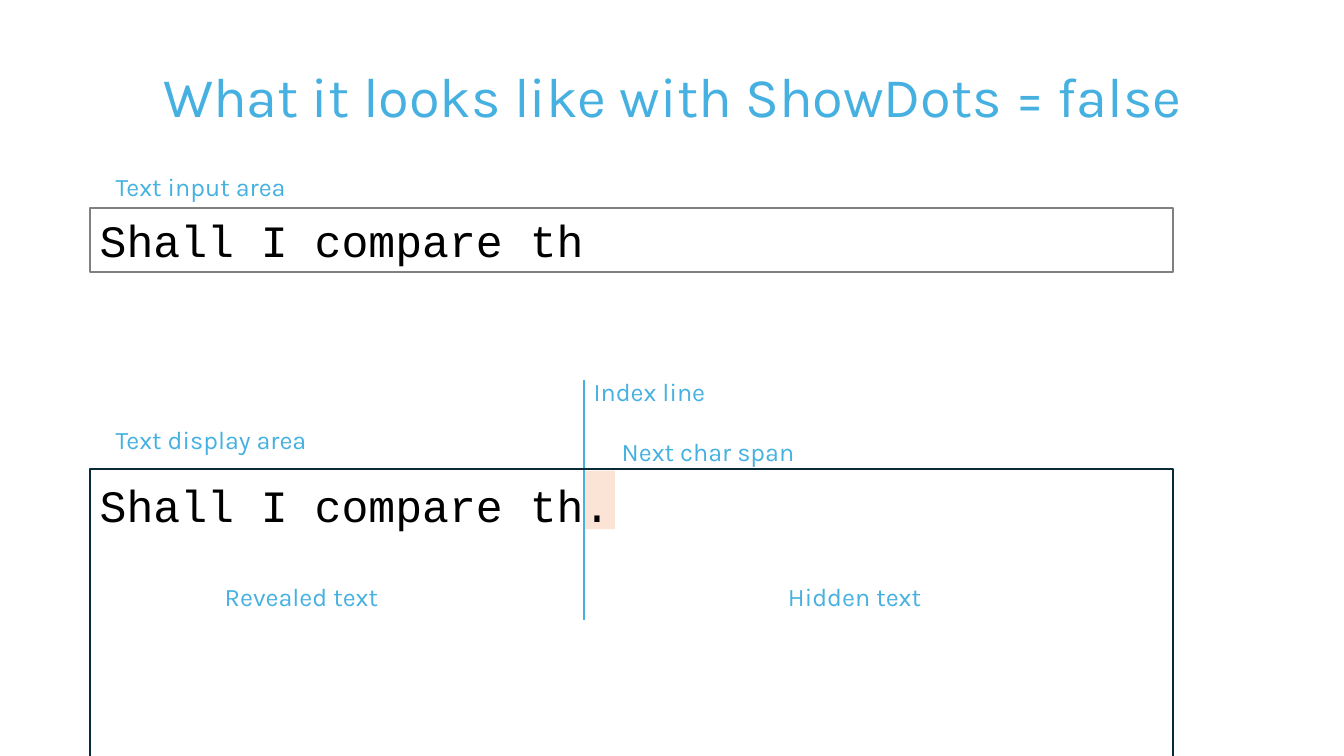
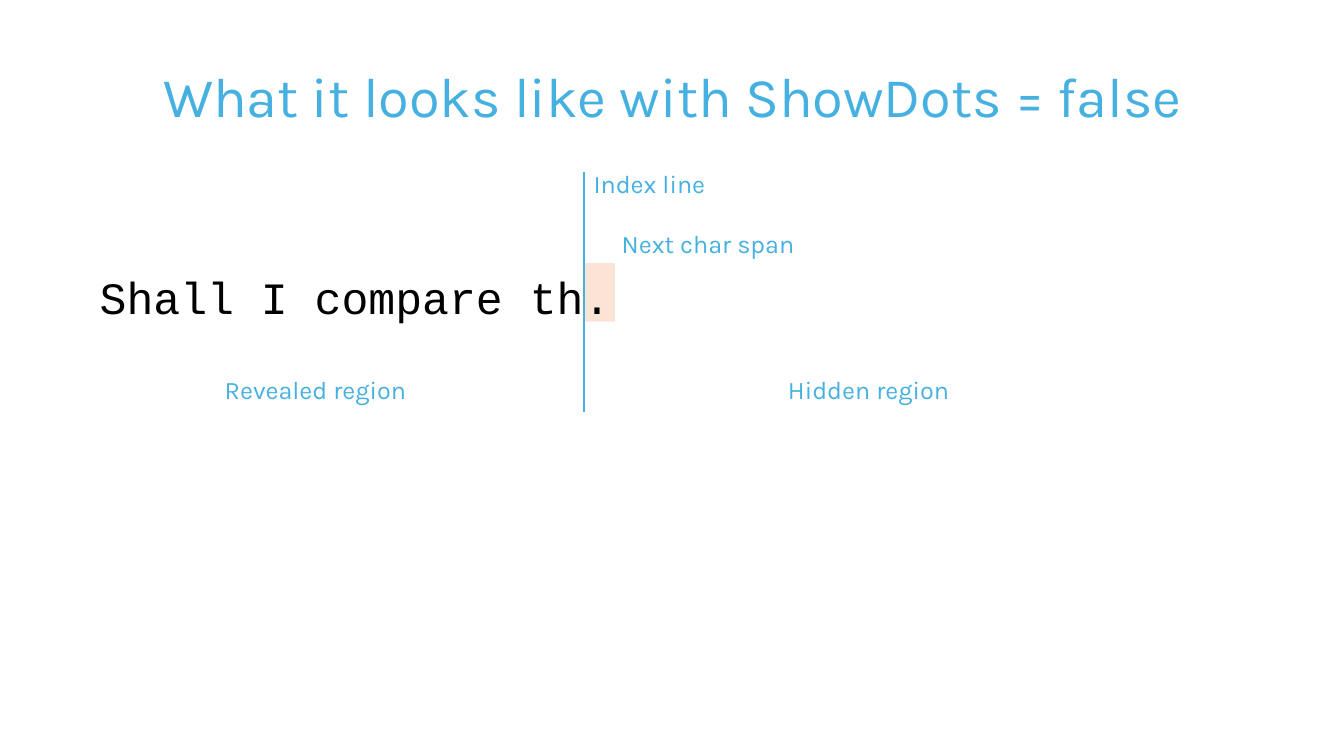
"""Build two slides that explain the text display with ShowDots = false."""
import pptx
import pptx.util
import pptx.dml.color
import pptx.enum.shapes
import pptx.enum.text
import pptx.oxml.ns
import lxml.etree

Pt = pptx.util.Pt
RGB = pptx.dml.color.RGBColor.from_string
RECT = pptx.enum.shapes.MSO_SHAPE.RECTANGLE
LINE = pptx.enum.shapes.MSO_CONNECTOR.STRAIGHT
ALIGN = pptx.enum.text.PP_ALIGN

HUES = {"sky": "46B1E1", "peach": "FBE3D6", "grey": "808080", "navy": "092A39", "ink": "000000"}
FORMS = {
    "title": {"name": "Karla", "size": Pt(40)},
    "label": {"name": "Karla", "size": Pt(18)},
    "code": {"name": "Courier New", "size": Pt(32)},
}
LEFT, WIDE, INDEX = 64.1, 774, 416.9


def write(shape, text, form="label", hue="sky", align=ALIGN.LEFT):
    shape.text_frame.word_wrap = True
    para = shape.text_frame.paragraphs[0]
    para.alignment = align
    run = para.add_run()
    run.text = text
    for key, value in FORMS[form].items():
        setattr(run.font, key, value)
    run.font.color.rgb = RGB(HUES[hue])


def block(slide, box, fill=None, edge=None):
    shape = slide.shapes.add_shape(RECT, *map(Pt, box))
    shape.shadow.inherit = False
    if fill:
        shape.fill.solid()
        shape.fill.fore_color.rgb = RGB(HUES[fill])
    else:
        shape.fill.background()
    if edge:
        shape.line.color.rgb = RGB(HUES[edge])
        shape.line.width = Pt(1.5)
    else:
        shape.line.fill.background()
    return shape


deck = pptx.Presentation()
deck.slide_width, deck.slide_height = Pt(960), Pt(540)

for top, part in ((271.4, "text"), (123.1, "region")):
    slide = deck.slides.add_slide(deck.slide_layouts[6])
    block(slide, (INDEX, top + 64.8, 22.3, 41.8), fill="peach")
    verse = slide.shapes.add_textbox(Pt(LEFT), Pt(top + 66.2), Pt(872.6), Pt(46))
    write(verse, "Shall I compare th.", "code", "ink")

    rule = slide.shapes.add_connector(LINE, Pt(INDEX), Pt(top), Pt(INDEX), Pt(top + 171.4))
    rule.line.color.rgb = RGB(HUES["sky"])
    rule.line.width = Pt(1.5)
    lxml.etree.SubElement(rule._element.spPr, pptx.oxml.ns.qn("a:effectLst"))

    labels = [
        ("Index line", INDEX, top - 6.5, 98.6),
        (f"Revealed {part}", 153.4, top + 140.4, 156.2),
        (f"Hidden {part}", 555.8, top + 140.4, 158.4),
        ("Next char span", 437, top + 36.7, 142.6),
    ]
    if part == "text":
        entry = block(slide, (LEFT, 148.3, WIDE, 46), edge="grey")
        write(entry, "Shall I compare th", "code", "ink")
        block(slide, (LEFT, 334.8, WIDE, 228.2), edge="navy")
        labels += [
            ("Text display area", 75.6, 299.5, 156.2),
            ("Text input area", 75.6, 118.8, 156.2),
        ]
    for text, x, y, width in labels:
        write(slide.shapes.add_textbox(Pt(x), Pt(y), Pt(width), Pt(29)), text)

    title = slide.shapes.add_textbox(Pt(79.9), Pt(40.3), Pt(800.6), Pt(55.4))
    write(title, "What it looks like with ShowDots = false", "title", align=ALIGN.CENTER)

deck.save("out.pptx")
